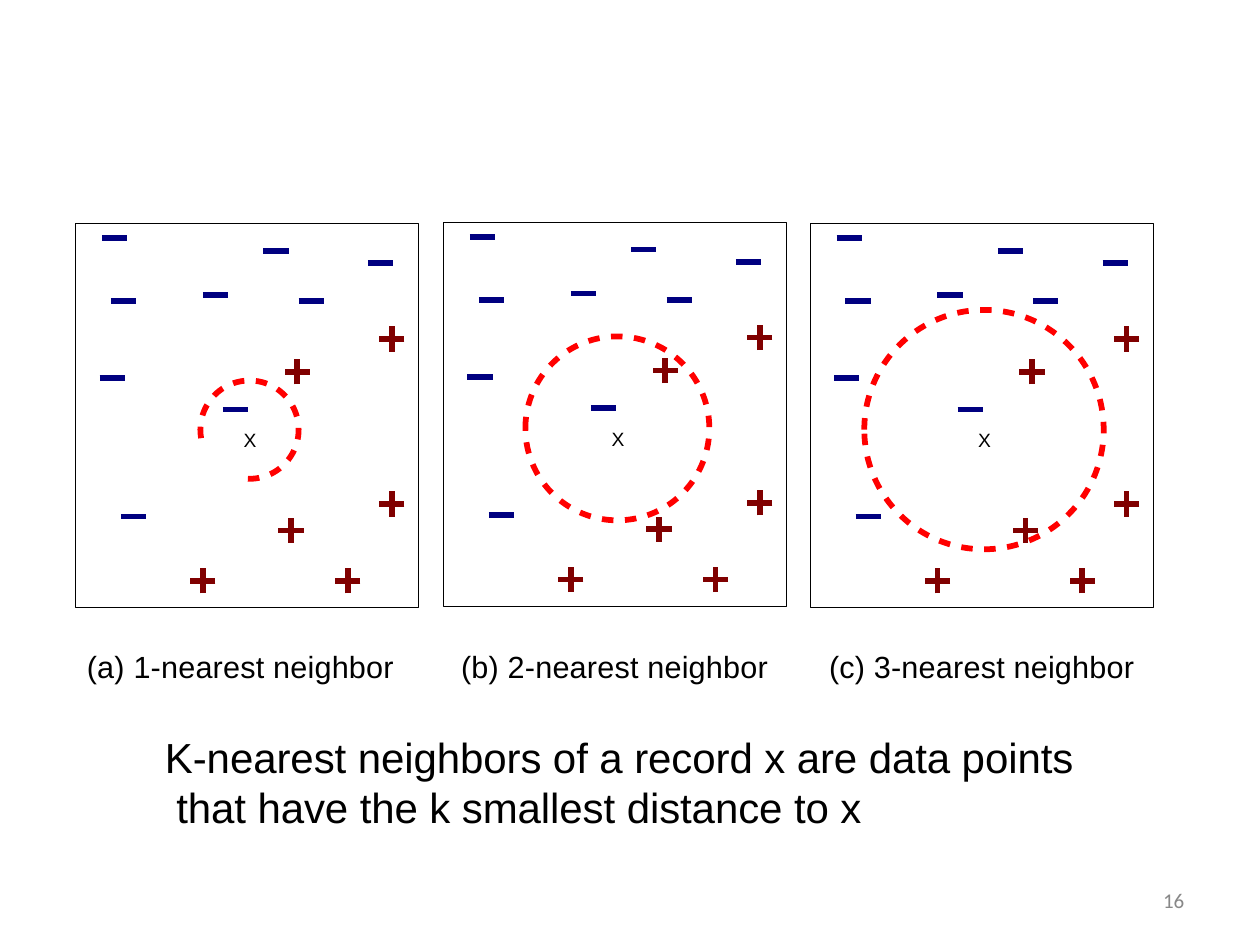
from lxml.etree import SubElement
from pptx import Presentation
from pptx.dml.color import RGBColor
from pptx.enum.shapes import MSO_CONNECTOR, MSO_SHAPE
from pptx.enum.text import MSO_ANCHOR, PP_ALIGN
from pptx.oxml.ns import qn
from pptx.util import Inches, Pt

STROKE = 3.28
PANELS = [(0.6, 1.77, 0.39), (3.52, 1.76, 0.73), (6.43, 1.77, 0.95)]
MINUSES = [(1.27, 1.48), (2.42, 0.32), (1.11, 0.57), (0.46, 2.33), (0.29, 1.23),
           (0.38, 0.62), (0.31, 0.12), (1.87, 0.62), (1.59, 0.22)]
PLUSES = [(1.71, 2.44), (1.01, 2.84), (2.16, 2.84),
          (2.51, 2.23), (1.76, 1.18), (2.51, 0.92)]


def paint(hue):
    """Turn a hex string into a colour."""
    return RGBColor.from_string(hue)


def style(para, face, size, hue, gap=0):
    """Format every run of a paragraph, with letter gap in 1/100 point."""
    for run in para.runs:
        run.font.name = face
        run.font.size = Pt(size)
        run.font.color.rgb = paint(hue)
        run._r.get_or_add_rPr().set("spc", str(gap))


def margins(frame, left=0, top=0):
    """Set the insets of a text frame and wrap it."""
    frame.margin_left, frame.margin_top = Inches(left), Inches(top)
    frame.margin_right = frame.margin_bottom = 0
    frame.vertical_anchor = MSO_ANCHOR.TOP
    frame.word_wrap = True


def hollow(shape, hue, width):
    """Give a shape a plain line and no fill."""
    shape.shadow.inherit = False
    shape.fill.background()
    shape.line.color.rgb = paint(hue)
    shape.line.width = Pt(width)


def outline(slide, kind, x, y, w, h, hue, width):
    """Add an unfilled preset shape."""
    shape = slide.shapes.add_shape(kind, Inches(x), Inches(y), Inches(w), Inches(h))
    hollow(shape, hue, width)
    return shape


def minus(slide, x, y, half=0.1, hue="000080"):
    """Add a horizontal bar centred on a point."""
    line = slide.shapes.add_connector(
        MSO_CONNECTOR.STRAIGHT, Inches(x - half), Inches(y), Inches(x + half), Inches(y))
    line.line.color.rgb = paint(hue)
    line.line.width = Pt(STROKE)
    SubElement(line._element.spPr, qn("a:effectLst"))


def plus(slide, x, y, half=0.1, hue="800000"):
    """Add a cross centred on a point."""
    x, y, half = Inches(x), Inches(y), Inches(half)
    pen = slide.shapes.build_freeform(x + half, y)
    pen.add_line_segments([(x - half, y)], close=False)
    pen.move_to(x, y + half)
    pen.add_line_segments([(x, y - half)], close=False)
    hollow(pen.convert_to_shape(), hue, STROKE)


def ring(slide, x, y, radius, is_open):
    """Add a dashed circle, with a gap at lower left if open."""
    kind = MSO_SHAPE.ARC if is_open else MSO_SHAPE.OVAL
    shape = outline(slide, kind, x - radius, y - radius,
                    2 * radius, 2 * radius, "FF0000", STROKE)
    if is_open:
        shape.adjustments[0] = 170 * 0.6
        shape.adjustments[1] = 102 * 0.6
    dash = SubElement(shape.line._get_or_add_ln(), qn("a:custDash"))
    SubElement(dash, qn("a:ds"), d="200000", sp="200000")


def panel(slide, left, top, radius):
    """Draw one framed scatter with its neighbourhood ring."""
    ring(slide, left + 1.38, top + 1.64, radius, radius < 0.5)
    box = outline(slide, MSO_SHAPE.RECTANGLE, left, top, 2.72, 3.05, "000000", 0.25)
    frame = box.text_frame
    margins(frame, 0.05, 1.63)
    frame.text = "X"
    frame.paragraphs[0].alignment = PP_ALIGN.CENTER
    style(frame.paragraphs[0], "Arial", 11, "000000")
    for x, y in MINUSES:
        minus(slide, left + x, top + y)
    for x, y in PLUSES:
        plus(slide, left + x, top + y)


def textbox(slide, x, y, w, h, text, left=0, top=0):
    """Add a text box and return its text frame."""
    frame = slide.shapes.add_textbox(
        Inches(x), Inches(y), Inches(w), Inches(h)).text_frame
    margins(frame, left, top)
    frame.text = text
    return frame


def captions(slide):
    """Add the panel captions and the definition below them."""
    names = "\t".join(f"({mark}) {k}-nearest neighbor"
                      for k, mark in enumerate("abc", 1))
    frame = textbox(slide, 0.68, 5.13, 8.33, 1.48, names, left=0.01, top=0.01)
    head = frame.paragraphs[0]
    tabs = SubElement(head._p.get_or_add_pPr(), qn("a:tabLst"))
    for stop in (2.97, 5.89):
        SubElement(tabs, qn("a:tab"), pos=str(Inches(stop)), algn="l")
    style(head, "Arial", 17.5, "000000", 10)
    body = frame.add_paragraph()
    body.text = ("K-nearest neighbors of a record x are data points "
                 "that have the k smallest distance to x")
    props = body._p.get_or_add_pPr()
    props.set("marL", str(Inches(0.71)))
    props.set("indent", str(Inches(-0.09)))
    body.space_before = Pt(26.8)
    style(body, "Arial", 24, "000000", -5)


def number(slide):
    """Add the page number."""
    para = textbox(slide, 9.19, 7.07, 0.25, 0.19, "16", left=0.04).paragraphs[0]
    para.line_spacing = Pt(12.4)
    style(para, "Calibri", 12, "888888")


def main():
    """Build and save the slide."""
    deck = Presentation()
    deck.slide_width, deck.slide_height = Inches(10), Inches(7.5)
    slide = deck.slides.add_slide(deck.slide_layouts[6])
    for left, top, radius in PANELS:
        panel(slide, left, top, radius)
    captions(slide)
    number(slide)
    deck.save("out.pptx")


if __name__ == "__main__":
    main()
